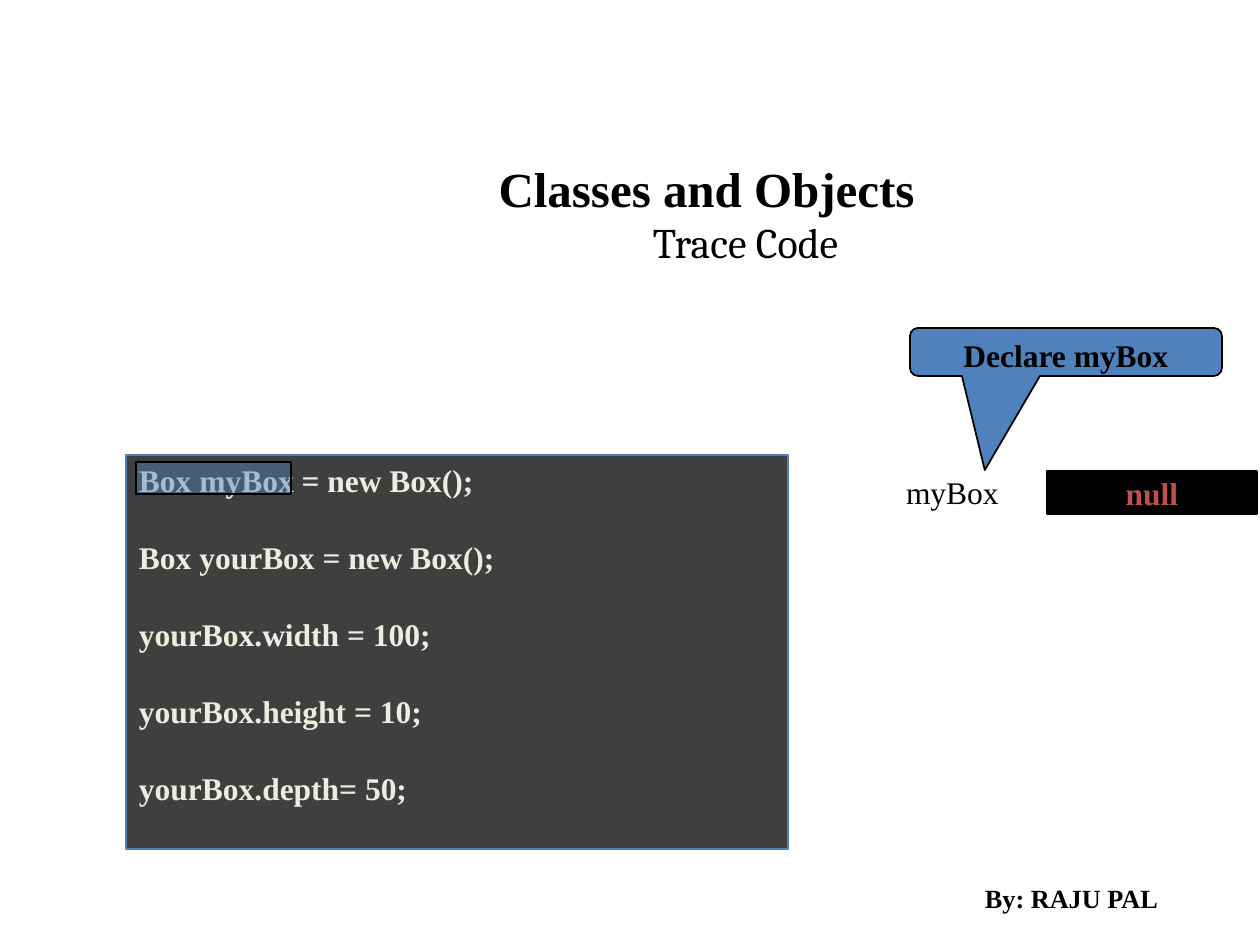
import pptx
import pptx.dml.color
import pptx.enum.shapes
import pptx.enum.text
import pptx.oxml.ns
import pptx.util
from lxml import etree

PX = 914400 / 126
SHAPES = pptx.enum.shapes.MSO_SHAPE
ALIGN = pptx.enum.text.PP_ALIGN
ANCHOR = pptx.enum.text.MSO_ANCHOR


def color(value):
    return pptx.dml.color.RGBColor.from_string(value)


def write(shape, text, size=18, font="Times New Roman", fill="000000", bold=True,
          align=ALIGN.CENTER, anchor=ANCHOR.TOP, inset=(13, 6), gap=0, spacing=None):
    frame = shape.text_frame
    frame.word_wrap = True
    frame.auto_size = pptx.enum.text.MSO_AUTO_SIZE.NONE
    frame.vertical_anchor = anchor
    frame.margin_left = frame.margin_right = round(inset[0] * PX)
    frame.margin_top = frame.margin_bottom = round(inset[1] * PX)
    frame.text = text
    for index, paragraph in enumerate(frame.paragraphs):
        paragraph.alignment = align
        paragraph.space_before = pptx.util.Pt(gap if index else 0)
        if spacing:
            paragraph.line_spacing = spacing
        paragraph.font.size = pptx.util.Pt(size)
        paragraph.font.name = font
        paragraph.font.bold = bold
        paragraph.font.color.rgb = color(fill)


presentation = pptx.Presentation()
presentation.slide_width = round(1260 * PX)
presentation.slide_height = round(945 * PX)
slide = presentation.slides.add_slide(presentation.slide_layouts[5])

author, heading, variable = [
    slide.shapes.add_textbox(*[round(length * PX) for length in box])
    for box in ((935, 882, 273, 32), (218, 147, 977, 73), (893, 467, 156, 50))
]
write(author, "By: RAJU PAL", size=15, anchor=ANCHOR.MIDDLE)
write(heading, "Classes and Objects", size=28, spacing=1.1)
write(variable, "myBox", bold=False, align=ALIGN.LEFT)

title = slide.shapes.title
title.left, title.top, title.width, title.height = [
    round(length * PX) for length in (210, 210, 1071, 84)
]
write(title, "Trace Code", size=24, font="Cambria", bold=False)

blocks = []
for kind, box, fill, line in (
    (SHAPES.RECTANGLE, (126, 455, 662, 394), "3F3F3F", "4F81BD"),
    (SHAPES.ROUNDED_RECTANGULAR_CALLOUT, (910, 328, 312, 48), "4F81BD", "000000"),
    (SHAPES.RECTANGLE, (1047, 471, 210, 43), "000000", "000000"),
    (SHAPES.RECTANGLE, (136, 462, 155, 32), "4F81BD", "000000"),
):
    shape = slide.shapes.add_shape(kind, *[round(length * PX) for length in box])
    shape.shadow.inherit = False
    shape.fill.solid()
    shape.fill.fore_color.rgb = color(fill)
    shape.line.color.rgb = color(line)
    shape.line.width = pptx.util.Pt(1)
    blocks.append(shape)
code, callout, value, highlight = blocks

code_lines = [
    "Box myBox = new Box();",
    "Box yourBox = new Box();",
    "yourBox.width = 100;",
    "yourBox.height = 10;",
    "yourBox.depth= 50;",
]
write(code, "\n".join(code_lines), fill="EEECE1", align=ALIGN.LEFT, gap=22.4)

for index, adjustment in enumerate((-0.26, 2.46, 0.17)):
    callout.adjustments[index] = adjustment
write(callout, "Declare myBox")

write(value, "null", fill="C0504D", anchor=ANCHOR.MIDDLE, inset=(1, 1))

highlight_color = highlight.fill._xPr.find(".//" + pptx.oxml.ns.qn("a:srgbClr"))
etree.SubElement(highlight_color, pptx.oxml.ns.qn("a:alpha"), val="45000")

presentation.save("out.pptx")
